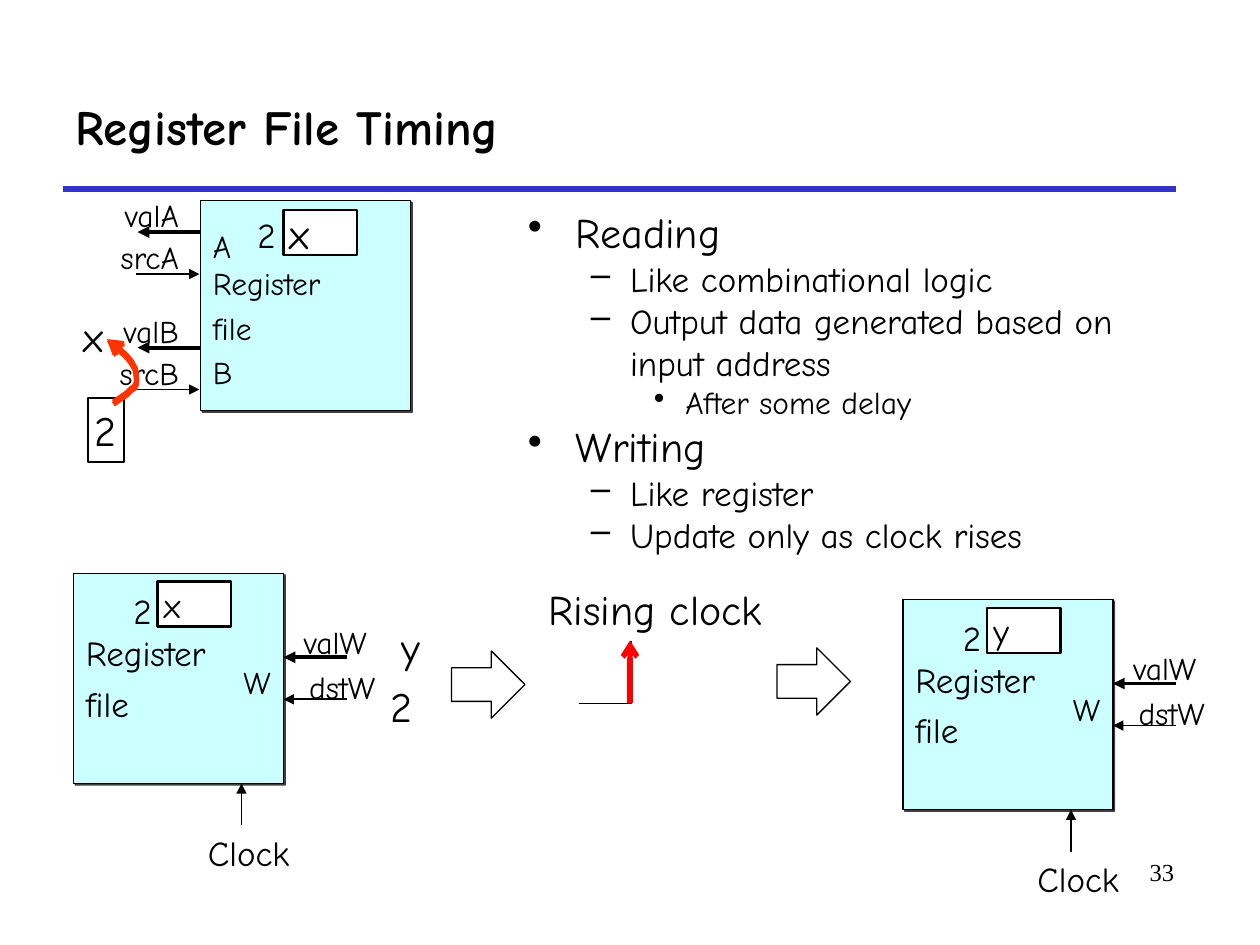
from lxml import etree
from pptx import Presentation
from pptx import util as u
from pptx.dml import color
from pptx.enum import shapes, text
from pptx.oxml import ns

# Grid: 120 columns by 90 rows, twelve cells to the inch
COLUMNS, ROWS, CELLS_PER_INCH = 120, 90, 12
COLORS = {"ink": "000000", "paper": "FFFFFF", "register": "CCFFFF",
          "rule": "3333CC", "read": "FF3300", "edge": "FF0000"}
FONT, NUMBER_FONT = "Comic Neue", "Times New Roman"
REGISTER_SIZE = 20
# Size, left indent and hanging indent in inches, and bullet for each level
LEVELS = [(24, 0.38, 0.38, "•"), (20, 0.81, 0.31, "–"), (18, 1.25, 0.25, "•")]
OUTLINE = [(0, "Reading"), (1, "Like combinational logic"),
           (1, "Output data generated based on input address"),
           (2, "After some delay"), (0, "Writing"),
           (1, "Like register"), (1, "Update only as clock rises")]
READ_CURVE = [(10.8, 38.5), (12.1, 37.6), (12.5, 37.2), (12.8, 37), (13, 36.6),
              (13, 36.1), (12.9, 35.3), (12.5, 34.6), (12.1, 34.1),
              (11.8, 33.8), (11, 33.1), (10.5, 32.8), (10.2, 32.5)]


def cells(count):
    return u.Inches(count / CELLS_PER_INCH)


def rgb(name):
    return color.RGBColor.from_string(COLORS[name])


def write(paragraph, words, size=18, font=FONT, bold=False, align="LEFT",
          space=0, level=None):
    """Put formatted words into a paragraph; a level gives it a bullet."""
    if level is not None:
        size, left, hanging, bullet = LEVELS[level]
        properties = paragraph._p.get_or_add_pPr()
        properties.set("marL", str(u.Inches(left)))
        properties.set("indent", str(-u.Inches(hanging)))
        etree.SubElement(properties, ns.qn("a:buChar"), char=bullet)
        paragraph.level = level
    paragraph.alignment = getattr(text.PP_ALIGN, align)
    paragraph.space_before = u.Pt(space)
    run = paragraph.add_run()
    run.text = words
    run.font.size, run.font.name, run.font.bold = u.Pt(size), font, bold
    run.font.color.rgb = rgb("ink")


def fill_frame(shape, lines, inset=0.1, anchor="TOP", wrap=True, **style):
    frame = shape.text_frame
    frame.word_wrap = wrap
    frame.vertical_anchor = getattr(text.MSO_ANCHOR, anchor)
    frame.margin_left = frame.margin_right = u.Inches(inset)
    frame.margin_top = frame.margin_bottom = u.Inches(0.05)
    for index, words in enumerate(lines):
        paragraph = frame.add_paragraph() if index else frame.paragraphs[0]
        # Space before is a quarter of the text size, except on top
        space = style.get("size", 18) / 4 if index else 0
        write(paragraph, words, space=space, **style)


def add_label(slide, words, at, **style):
    box = slide.shapes.add_textbox(*map(cells, at))
    fill_frame(box, [words], **style)


def add_box(slide, kind, at, lines=(), fill=None, line="ink", width=0.75, **style):
    shape = slide.shapes.add_shape(getattr(shapes.MSO_SHAPE, kind), *map(cells, at))
    shape.shadow.inherit = False
    if fill:
        shape.fill.solid()
        shape.fill.fore_color.rgb = rgb(fill)
    else:
        shape.fill.background()
    if line:
        shape.line.color.rgb = rgb(line)
        shape.line.width = u.Pt(width)
    else:
        shape.line.fill.background()
    fill_frame(shape, lines, **style)
    return shape


def style_stroke(shape, line, width, head):
    shape.line.color.rgb = rgb(line)
    shape.line.width = u.Pt(width)
    properties = shape.element.spPr
    if head:
        etree.SubElement(properties.find(ns.qn("a:ln")), ns.qn("a:tailEnd"), type=head)
    etree.SubElement(properties, ns.qn("a:effectLst"))


def add_line(slide, start, end, line="ink", width=1, head="triangle"):
    connector = slide.shapes.add_connector(
        shapes.MSO_CONNECTOR.STRAIGHT, *map(cells, (*start, *end)))
    style_stroke(connector, line, width, head)


def add_outline(slide, points, line="ink", width=0.75, head=None):
    places = [(cells(x), cells(y)) for x, y in points]
    builder = slide.shapes.build_freeform(*places[0])
    builder.add_line_segments(places[1:], close=False)
    shape = builder.convert_to_shape()
    shape.fill.background()
    style_stroke(shape, line, width, head)


def add_port_label(slide, words, x, y):
    add_box(slide, "OVAL", (x, y, 6, 5), [words], line=None,
            anchor="MIDDLE", wrap=False, align="RIGHT")


def add_register_file(slide, x, y, size):
    shape = add_box(slide, "RECTANGLE", (x, y, REGISTER_SIZE, REGISTER_SIZE),
                    ["Register", "file"], fill="register",
                    anchor="MIDDLE", wrap=False, size=size)
    effects = shape.element.spPr.find(ns.qn("a:effectLst"))
    shadow = etree.SubElement(effects, ns.qn("a:outerShdw"), blurRad="0",
                              dist=str(u.Pt(1.4)), dir=str(45 * 60000))
    tint = etree.SubElement(shadow, ns.qn("a:srgbClr"), val=COLORS["ink"])
    etree.SubElement(tint, ns.qn("a:alpha"), val="75000")


def add_stored_value(slide, value, x, y, size, number_at):
    add_box(slide, "RECTANGLE", (x, y, 7, 4.3), [value], fill="paper", width=1.5,
            inset=0.05, anchor="MIDDLE", wrap=False, size=size)
    add_label(slide, "2", (*number_at, 3, 5.3), inset=0.05, wrap=False, size=20)


def add_reader(slide, x, y):
    """Register file with two read ports on its left."""
    add_register_file(slide, x, y, size=18)
    for index, port in enumerate("AB"):
        top = y + 11 * index
        add_label(slide, port, (x, y + 1.9 + 12 * index, 4, 4.9))
        add_line(slide, (x, top + 3), (x - 6, top + 3), width=2.25)
        add_line(slide, (x - 6.1, top + 7), (x - 0.1, top + 7))
        add_port_label(slide, f"val{port}", x - 6, top - 1.1)
        add_port_label(slide, f"src{port}", x - 6, top + 2.9)
    add_stored_value(slide, "x", 27, 20, 24, number_at=(23.9, 19.7))


def add_writer(slide, x, y, value):
    """Register file with a write port on its right and a clock below."""
    right = x + REGISTER_SIZE
    add_register_file(slide, x, y, size=20)
    add_label(slide, "W", (x + 15, y + 8, 4, 4.9))
    add_port_label(slide, "dstW", right + 4.8, y + 8.3)
    add_port_label(slide, "valW", right + 4, y + 4)
    add_line(slide, (right + 6, y + 8), (right, y + 8), width=2.25)
    add_line(slide, (right + 6, y + 12), (right, y + 12))
    add_line(slide, (x + 16, y + 24), (x + 16, y + REGISTER_SIZE))
    add_label(slide, "Clock", (x + 12.2, y + 24, 9, 5.3),
              inset=0.05, wrap=False, size=20)
    add_stored_value(slide, value, x + 8, y + 0.8, 20, number_at=(x + 5.1, y + 1))


def add_bullets(slide, at):
    frame = slide.shapes.add_textbox(*map(cells, at)).text_frame
    frame.word_wrap = True
    for index, (level, words) in enumerate(OUTLINE):
        paragraph = frame.add_paragraph() if index else frame.paragraphs[0]
        write(paragraph, words, level=level)


def main():
    presentation = Presentation()
    presentation.slide_width, presentation.slide_height = cells(COLUMNS), cells(ROWS)
    slide = presentation.slides.add_slide(presentation.slide_layouts[6])

    # Heading and outline
    add_line(slide, (6, 18), (112, 18), line="rule", width=3, head=None)
    add_label(slide, "Register File Timing", (6, 6, 106, 12),
              size=28, bold=True, anchor="MIDDLE")
    add_bullets(slide, (49.1, 19.1, 63.7, 36))

    # Reading: address 2 goes in, value x comes out
    add_reader(slide, 19.1, 19.1)
    add_label(slide, "x", (7.4, 29, 3.1, 6.1), inset=0.05, wrap=False, size=24)
    add_box(slide, "RECTANGLE", (8.4, 37.9, 3.4, 6.1), ["2"], width=1.5,
            inset=0.05, wrap=False, size=24)
    for rise, head in ((0, "triangle"), (0.2, "arrow")):
        add_outline(slide, [(x, y - rise) for x, y in READ_CURVE],
                    line="read", width=3, head=head)

    # Writing: the register file before and after the clock rises
    add_writer(slide, 7, 54.6, "x")
    add_label(slide, "y", (37.6, 58.6, 5.4, 6.1), inset=0.05, size=24)
    add_label(slide, "2", (36.6, 64.2, 5.4, 6.1), inset=0.05, size=24)
    add_writer(slide, 86, 57.1, "y")

    # Rising clock edge between the two block arrows
    add_outline(slide, [(55.1, 67), (60.1, 67), (60.1, 61), (64.2, 61)])
    add_box(slide, "RECTANGLE", (51.1, 55, 25.9, 6), ["Rising clock"],
            line="paper", size=24)
    add_line(slide, (60, 67), (60, 61), line="edge", width=3, head="arrow")
    for x, y in ((43, 62), (74, 61.7)):
        add_box(slide, "RIGHT_ARROW", (x, y, 7, 6.4))

    # Slide number
    add_label(slide, "33", (96, 81, 17, 6), size=14, font=NUMBER_FONT, align="RIGHT")
    presentation.save("out.pptx")


if __name__ == "__main__":
    main()
